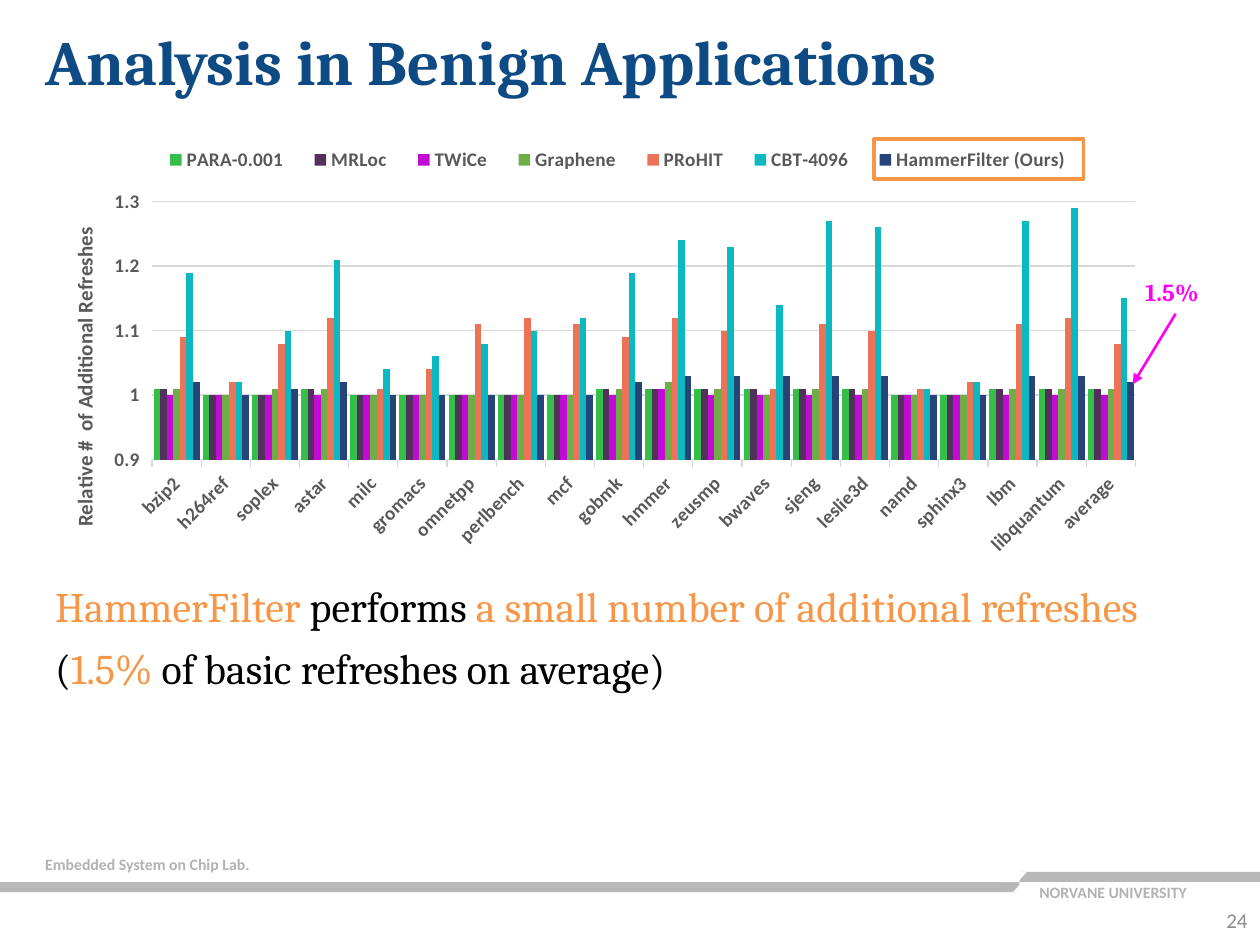
from lxml import etree
from pptx import Presentation
from pptx.chart.data import CategoryChartData
from pptx.dml.color import RGBColor
from pptx.enum.chart import XL_CHART_TYPE, XL_LEGEND_POSITION, XL_TICK_MARK
from pptx.enum.shapes import MSO_CONNECTOR, MSO_SHAPE
from pptx.enum.text import MSO_ANCHOR, MSO_AUTO_SIZE, PP_ALIGN
from pptx.oxml import parse_xml
from pptx.oxml.ns import qn
from pptx.util import Pt

COLUMNS = XL_CHART_TYPE.COLUMN_CLUSTERED
LEGEND_TOP = XL_LEGEND_POSITION.TOP
TICK_OUT = XL_TICK_MARK.OUTSIDE
RECTANGLE, PARALLELOGRAM = MSO_SHAPE.RECTANGLE, MSO_SHAPE.PARALLELOGRAM
STRAIGHT = MSO_CONNECTOR.STRAIGHT
TOP, MIDDLE = MSO_ANCHOR.TOP, MSO_ANCHOR.MIDDLE
LEFT, RIGHT = PP_ALIGN.LEFT, PP_ALIGN.RIGHT

SANS, SERIF = "Calibri", "Cambria"
NAVY, ORANGE, PINK, BLACK = "0E4A84", "F79646", "FF00F5", "000000"
BAR_GRAY, LABEL_GRAY, AXIS_GRAY, GRID_GRAY = "B8B8B8", "B2B2B2", "595959", "D9D9D9"

APPLICATIONS = ["bzip2", "h264ref", "soplex", "astar", "milc", "gromacs", "omnetpp",
                "perlbench", "mcf", "gobmk", "hmmer", "zeusmp", "bwaves", "sjeng",
                "leslie3d", "namd", "sphinx3", "lbm", "libquantum", "average"]
PARA_VALUES = [1.01, 1, 1, 1.01, 1, 1, 1, 1, 1, 1.01,
               1.01, 1.01, 1.01, 1.01, 1.01, 1, 1, 1.01, 1.01, 1.01]
SERIES = [
    ("PARA-0.001", "34BF49", PARA_VALUES),
    ("MRLoc", "52325D", PARA_VALUES),
    ("TWiCe", "C10BD4", [1] * 10 + [1.01] + [1] * 9),
    ("Graphene", "70AD47", [1.01, 1, 1.01, 1.01, 1, 1, 1, 1, 1, 1.01,
                            1.02, 1.01, 1, 1.01, 1.01, 1, 1, 1.01, 1.01, 1.01]),
    ("PRoHIT", "EC7357", [1.09, 1.02, 1.08, 1.12, 1.01, 1.04, 1.11, 1.12, 1.11, 1.09,
                          1.12, 1.1, 1.01, 1.11, 1.1, 1.01, 1.02, 1.11, 1.12, 1.08]),
    ("CBT-4096", "0CB9C1", [1.19, 1.02, 1.1, 1.21, 1.04, 1.06, 1.08, 1.1, 1.12, 1.19,
                            1.24, 1.23, 1.14, 1.27, 1.26, 1.01, 1.02, 1.27, 1.29, 1.15]),
    ("HammerFilter (Ours)", "264478",
     [1.02, 1, 1.01, 1.02, 1, 1, 1, 1, 1, 1.02,
      1.03, 1.03, 1.03, 1.03, 1.03, 1, 1, 1.03, 1.03, 1.02]),
]


def color(value):
    return RGBColor.from_string(value)


def points(*lengths):
    return [Pt(length) for length in lengths]


def style_font(font, size, tint, name=SANS, bold=True):
    font.size, font.name, font.bold = Pt(size), name, bold
    font.color.rgb = color(tint)


def add_spans(para, spans, size, name, bold):
    for text, tint in spans:
        span = para.add_run()
        span.text = text
        style_font(span.font, size, tint, name, bold)


def space(para):
    para.line_spacing, para.space_before = 0.9, Pt(10)


def add_text(page, place, lines, size, name=SANS, bold=True,
             align=LEFT, anchor=TOP, spaced=False):
    box = page.shapes.add_textbox(*points(*place))
    frame = box.text_frame
    frame.word_wrap, frame.vertical_anchor = True, anchor
    for index, spans in enumerate(lines):
        para = frame.add_paragraph() if index else frame.paragraphs[0]
        para.alignment = align
        if spaced:
            space(para)
        add_spans(para, spans, size, name, bold)


def add_block(page, kind, place, fill=None, line=None):
    block = page.shapes.add_shape(kind, *points(*place))
    block.shadow.inherit = False
    if fill:
        block.fill.solid()
        block.fill.fore_color.rgb = color(fill)
    else:
        block.fill.background()
    if line:
        block.line.color.rgb, block.line.width = color(line), Pt(2.25)
    else:
        block.line.fill.background()
    return block


def add_arrow(page, start, end, tint):
    arrow = page.shapes.add_connector(STRAIGHT, *points(*start, *end))
    arrow.line.color.rgb, arrow.line.width = color(tint), Pt(1.5)
    etree.SubElement(arrow.line._get_or_add_ln(), qn("a:tailEnd"), type="triangle")
    etree.SubElement(arrow._element.spPr, qn("a:effectLst"))


def set_layout(element, after, inner=False, **sizes):
    """Place a chart part by fractions of the chart area."""
    for old in element.findall(qn("c:layout")):
        element.remove(old)
    modes = '<c:layoutTarget val="inner"/>' if inner else ""
    modes += '<c:xMode val="edge"/><c:yMode val="edge"/>'
    values = "".join(f'<c:{key} val="{value}"/>' for key, value in sizes.items())
    layout = parse_xml(
        '<c:layout xmlns:c="http://schemas.openxmlformats.org/drawingml/2006/chart">'
        f"<c:manualLayout>{modes}{values}</c:manualLayout></c:layout>")
    previous = element.find(qn(after)) if after else None
    if previous is None:
        element.insert(0, layout)
    else:
        previous.addnext(layout)


def style_axes(chart):
    names, values = chart.category_axis, chart.value_axis
    for axis in (names, values):
        axis.major_tick_mark = TICK_OUT
        style_font(axis.tick_labels.font, 11, AXIS_GRAY)
    names.format.line.color.rgb, names.format.line.width = color(GRID_GRAY), Pt(0.75)
    names._element.find(qn("c:txPr")).find(qn("a:bodyPr")).set("rot", "-2700000")
    values.minimum_scale, values.maximum_scale, values.major_unit = 0.9, 1.3, 0.1
    values.tick_labels.number_format = "General"
    values.tick_labels.number_format_is_linked = False
    values.format.line.fill.background()
    grid = values.major_gridlines.format.line
    grid.color.rgb, grid.width = color(GRID_GRAY), Pt(0.75)
    title = values.axis_title
    add_spans(title.text_frame.paragraphs[0],
              [("Relative #  of Additional Refreshes", AXIS_GRAY)], 12, SANS, True)
    body = title._element.find(".//" + qn("a:bodyPr"))
    body.set("rot", "-5400000")
    body.set("vert", "horz")
    set_layout(title._element, "c:tx", x=0.03, y=0.2)


def add_refresh_chart(page, place):
    data = CategoryChartData()
    data.categories = APPLICATIONS
    for name, _, values in SERIES:
        data.add_series(name, values)
    chart = page.shapes.add_chart(COLUMNS, *points(*place), data).chart
    chart.has_title = False
    style_font(chart.font, 10, BLACK, bold=False)
    plot = chart.plots[0]
    plot.gap_width, plot.overlap, plot.vary_by_categories = 50, 0, False
    for series, (_, tint, _) in zip(plot.series, SERIES):
        series.format.fill.solid()
        series.format.fill.fore_color.rgb = color(tint)
    style_axes(chart)
    chart.has_legend = True
    chart.legend.position, chart.legend.include_in_layout = LEGEND_TOP, False
    style_font(chart.legend.font, 11, AXIS_GRAY)
    set_layout(chart.legend._element, "c:legendPos", x=0.1, y=0.01, w=0.84, h=0.08)
    plot_area = chart._chartSpace.find(".//" + qn("c:plotArea"))
    set_layout(plot_area, None, inner=True, x=0.106, y=0.148, w=0.874, h=0.606)


def add_title(page, text, place):
    title = page.shapes.title
    title.left, title.top, title.width, title.height = points(*place)
    frame = title.text_frame
    frame.auto_size, frame.vertical_anchor = MSO_AUTO_SIZE.NONE, TOP
    para = frame.paragraphs[0]
    para.alignment = LEFT
    space(para)
    add_spans(para, [(text, NAVY)], 36, SERIF, True)


def add_footer(page):
    add_text(page, (586.8, 501.1, 115.2, 18), [[("NORVANE UNIVERSITY", LABEL_GRAY)]], 9)
    add_block(page, RECTANGLE, (0, 504, 582.5, 5.8), BAR_GRAY)
    add_block(page, RECTANGLE, (582.5, 498.2, 137.5, 5.8), BAR_GRAY)
    for left, top in ((578.9, 504), (571.7, 498.2)):
        notch = add_block(page, PARALLELOGRAM, (left, top, 15.1, 5.8), "FFFFFF")
        notch.adjustments[0] = 0.9
    add_text(page, (18.7, 484.6, 137.5, 18),
             [[("Embedded System on Chip Lab.", LABEL_GRAY)]], 9)
    add_text(page, (686.9, 511.2, 33.1, 28.8), [[("24", "8C8C8C")]], 12,
             bold=False, align=RIGHT, anchor=MIDDLE)


def main():
    deck = Presentation()
    deck.slide_width, deck.slide_height = points(720, 540)
    page = deck.slides.add_slide(deck.slide_layouts[5])

    # Footer and title
    add_footer(page)
    add_title(page, "Analysis in Benign Applications", (18.7, 14.4, 678.2, 51.1))

    # Findings
    add_text(page, (24.5, 331.2, 672.5, 153.4), [
        [("HammerFilter", ORANGE), (" performs ", BLACK),
         ("a small number of additional refreshes ", ORANGE)],
        [("(", BLACK), ("1.5%", ORANGE), (" of basic refreshes on average)", BLACK)],
    ], 24, SERIF, bold=False, spaced=True)

    # Chart with its highlights
    add_refresh_chart(page, (18.7, 79.2, 643, 243.4))
    add_block(page, RECTANGLE, (499.7, 79.2, 119.5, 23), line=ORANGE)
    add_arrow(page, (671.8, 179.3), (647.3, 219.6), PINK)
    add_text(page, (647.3, 154.8, 49.7, 24.5), [[("1.5%", PINK)]], 14, SERIF)

    deck.save("out.pptx")


main()
